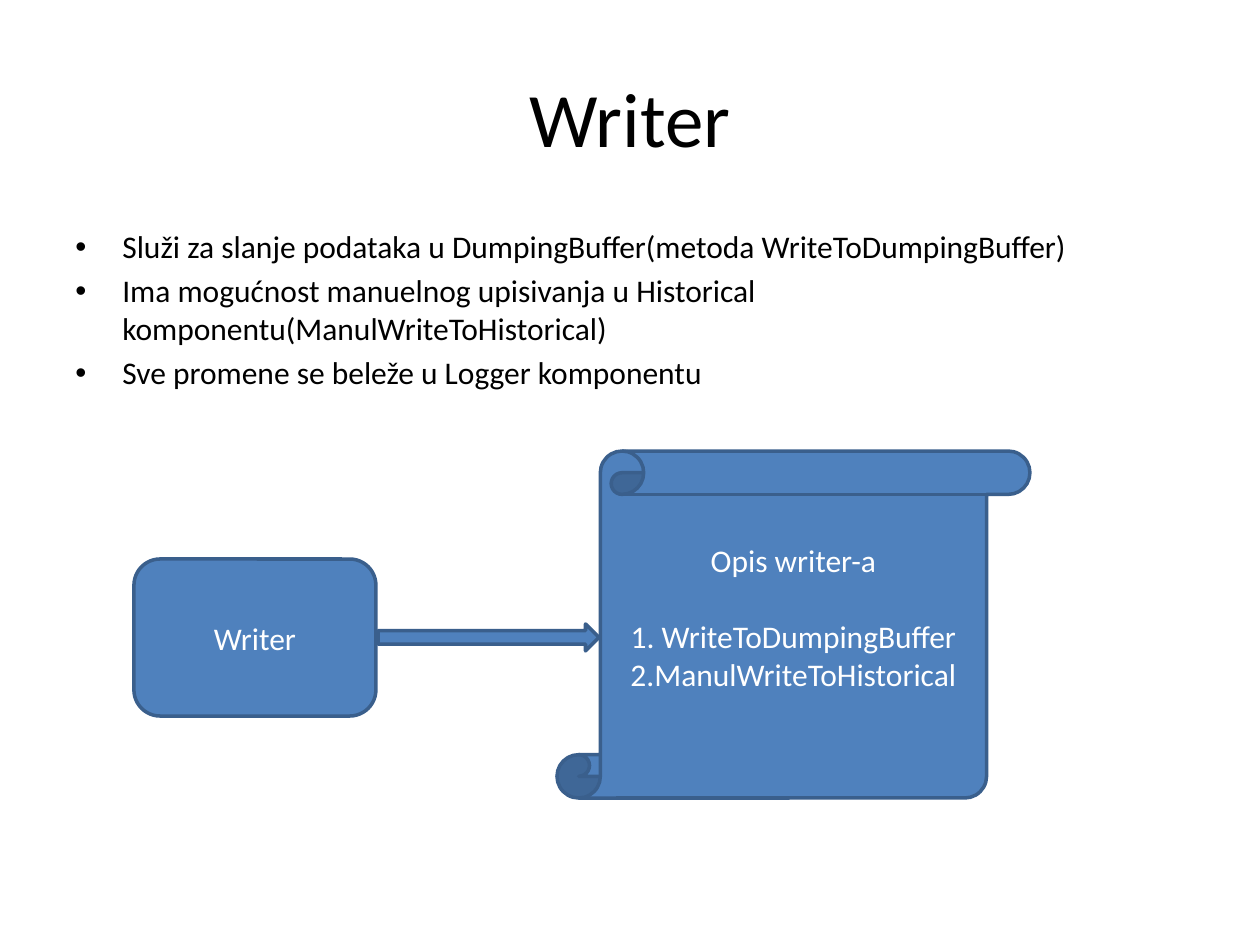
from lxml import etree
from pptx import Presentation
from pptx.dml.color import RGBColor
from pptx.enum.shapes import MSO_SHAPE
from pptx.enum.text import MSO_ANCHOR, PP_ALIGN
from pptx.oxml.ns import qn
from pptx.util import Pt

PX = 914400 / 126
FONT = "Calibri"
BODY_SIZE = 18
LINE_HEIGHT_PX = 38
COLORS = {"text": "000000", "fill": "4F81BD", "line": "3A5F8C", "label": "FFFFFF"}

ROUNDED = MSO_SHAPE.ROUNDED_RECTANGLE
SCROLL = MSO_SHAPE.VERTICAL_SCROLL
ARROW = MSO_SHAPE.RIGHT_ARROW
MIDDLE, TOP = MSO_ANCHOR.MIDDLE, MSO_ANCHOR.TOP
CENTER, LEFT = PP_ALIGN.CENTER, PP_ALIGN.LEFT

BULLETS = [
    "Služi za slanje podataka u DumpingBuffer(metoda WriteToDumpingBuffer)",
    "Ima mogućnost manuelnog upisivanja u Historical komponentu(ManulWriteToHistorical)",
    "Sve promene se beleže u Logger komponentu",
]
DESCRIPTION = ["Opis writer-a", "1. WriteToDumpingBuffer", "2.ManulWriteToHistorical"]


def px(length):
    return round(length * PX)


def emu_box(box):
    return [px(length) for length in box]


def color(name):
    return RGBColor.from_string(COLORS[name])


def write(frame, lines, size, color_name, align, anchor):
    frame.word_wrap = True
    frame.vertical_anchor = anchor
    frame.text = "\n".join(lines)
    for para in frame.paragraphs:
        para.alignment = align
        for span in para.runs:
            span.font.name = FONT
            span.font.size = Pt(size)
            span.font.color.rgb = color(color_name)


def add_title(page, box):
    frame = page.shapes.add_textbox(*emu_box(box)).text_frame
    write(frame, ["Writer"], 44, "text", CENTER, MIDDLE)


def add_bullets(page, box):
    frame = page.shapes.add_textbox(*emu_box(box)).text_frame
    write(frame, BULLETS, BODY_SIZE, "text", LEFT, TOP)
    indent = px(47)
    for para in frame.paragraphs:
        para.space_before = Pt(BODY_SIZE * 0.2)
        props = para._p.get_or_add_pPr()
        props.set("marL", str(indent))
        props.set("indent", str(-indent))
        etree.SubElement(props, qn("a:buFont"), typeface="Arial")
        etree.SubElement(props, qn("a:buChar"), char="•")


def add_block(page, kind, box, lines=()):
    block = page.shapes.add_shape(kind, *emu_box(box))
    block.shadow.inherit = False
    block.fill.solid()
    block.fill.fore_color.rgb = color("fill")
    block.line.color.rgb = color("line")
    block.line.width = Pt(2)
    if lines:
        write(block.text_frame, lines, BODY_SIZE, "label", CENTER, MIDDLE)
    return block


def add_diagram(page, box):
    """Writer block, arrow and description scroll, from the box's left edge to its right."""
    left, top, width, height = box
    add_block(page, ROUNDED, (left, top + 108, 242, 157), ["Writer"])

    scroll_width = 473
    scroll_box = (left + width - scroll_width, top, scroll_width, height)
    frame = add_block(page, SCROLL, scroll_box, DESCRIPTION).text_frame
    frame.paragraphs[0].space_after = Pt(22)
    frame.margin_bottom = px(6 + LINE_HEIGHT_PX)

    add_block(page, ARROW, (left + 244, top + 173, 221, 27))


def main():
    deck = Presentation()
    deck.slide_width, deck.slide_height = px(1260), px(945)
    page = deck.slides.add_slide(deck.slide_layouts[6])
    add_title(page, (63, 38, 1134, 158))
    add_bullets(page, (63, 221, 1134, 624))
    add_diagram(page, (134, 451, 896, 347))
    deck.save("out.pptx")


if __name__ == "__main__":
    main()
